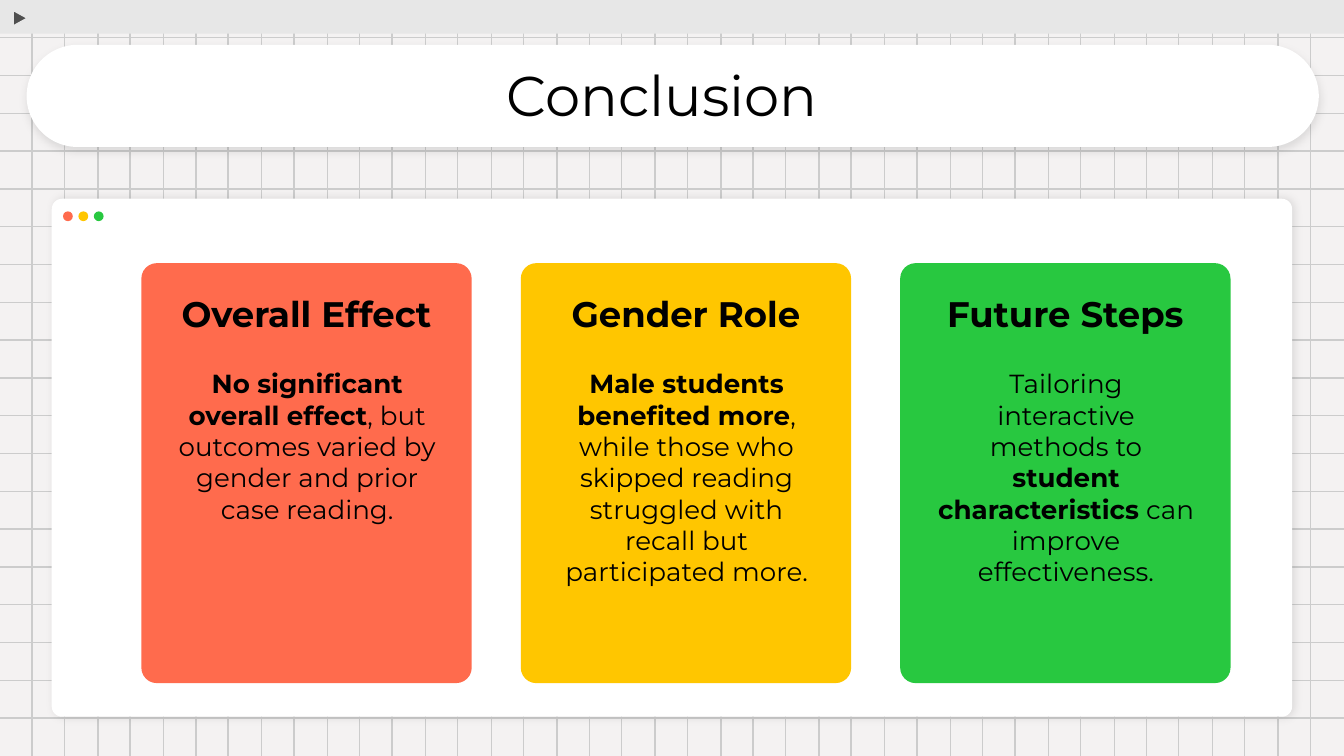
from pptx import Presentation, util as u
from pptx.dml.color import RGBColor
from pptx.enum import shapes, text
from pptx.oxml import parse_xml
from pptx.oxml.ns import nsdecls, qn

PX = 9525  # EMU in one px; the slide is 960 px wide
KIND = shapes.MSO_SHAPE


class Theme:
    font = "Montserrat"
    back, grid, bar, mark = "F4F2F2", "CCCCCC", "E7E7E7", "4F4F4F"
    white, ink = "FFFFFF", "000000"
    red, gold, green = "FF6B4D", "FFC600", "28C840"
    title, head, body = 30, 19, 14


def rgb(tone):
    return RGBColor.from_string(tone)


def draw(kind, area, tone, round_=None, shade=None):
    """Add a plain shape; shade is (opacity %, angle in degrees)."""
    form = slide.shapes.add_shape(kind, *[v * PX for v in area])
    form.fill.solid()
    form.fill.fore_color.rgb = rgb(tone)
    form.line.fill.background()
    form.shadow.inherit = False
    if round_ is not None:
        form.adjustments[0] = round_
    if shade:
        form._element.spPr.find(qn("a:effectLst")).append(parse_xml(
            f'<a:outerShdw {nsdecls("a")} blurRad="57150" dist="19050" '
            f'dir="{shade[1] * 60000}" algn="bl" rotWithShape="0">'
            f'<a:srgbClr val="{Theme.ink}"><a:alpha val="{shade[0] * 1000}"/>'
            '</a:srgbClr></a:outerShdw>'))
    return form


def write(frame, runs, size, bold=None):
    """Fill a text frame with one centred paragraph of (words, bold) runs."""
    frame.word_wrap = True
    frame.margin_left = frame.margin_right = u.Inches(0.1)
    frame.margin_top = frame.margin_bottom = u.Inches(0.1)
    para = frame.paragraphs[0]
    para.alignment = text.PP_ALIGN.CENTER
    para.font.name, para.font.size = Theme.font, u.Pt(size)
    para.font.color.rgb = rgb(Theme.ink)
    para.font.bold = bold
    for words, strong in runs:
        run = para.add_run()
        run.text = words
        if strong:
            run.font.bold = True
    return para


deck = Presentation()
deck.slide_width, deck.slide_height = 960 * PX, 540 * PX
slide = deck.slides.add_slide(deck.slide_layouts[5])
slide.background.fill.solid()
slide.background.fill.fore_color.rgb = rgb(Theme.back)

# Grid paper: 19 rows, 40 columns
rows = [(0, 27 * i, 960, 27 * i) for i in range(1, 20)]
cols = [(960 * i // 41, 0, 960 * i // 41, 540) for i in range(1, 41)]
for ends in rows + cols:
    rule = slide.shapes.add_connector(
        shapes.MSO_CONNECTOR.STRAIGHT, *[v * PX for v in ends])
    rule.line.color.rgb = rgb(Theme.grid)
    rule.line.width = u.Pt(0.75)
    rule._element.spPr.append(parse_xml(f'<a:effectLst {nsdecls("a")}/>'))

# Top bar with play mark
draw(KIND.RECTANGLE, (0, 0, 960, 24), Theme.bar)
play = draw(KIND.ISOSCELES_TRIANGLE, (9, 8, 11, 10), Theme.mark)
play.rotation = 90
play.line.color.rgb = rgb(Theme.bar)
play.line.width = u.Pt(0.75)

# Window with its three dots
draw(KIND.ROUNDED_RECTANGLE, (37, 142, 886, 370), Theme.white, 0.02, (11, 0))
for i, tone in enumerate((Theme.red, Theme.gold, Theme.green)):
    draw(KIND.OVAL, (45 + 11 * i, 151, 7, 7), tone)

# Cards: colour, heading, body runs
cards = [
    (Theme.red, "Overall Effect", [
        ("No significant overall effect", True),
        (", but outcomes varied by gender and prior case reading.", False)]),
    (Theme.gold, "Gender Role", [
        ("Male students benefited more", True),
        (", while those who skipped reading struggled with recall "
         "but participated more.", False)]),
    (Theme.green, "Future Steps", [
        ("Tailoring interactive methods to ", False),
        ("student characteristics", True),
        (" can improve effectiveness.", False)]),
]
for i, (tone, head, body) in enumerate(cards):
    left = 101 + 271 * i
    draw(KIND.ROUNDED_RECTANGLE, (left, 188, 236, 300), tone, 0.047)
    parts = [((left, 199, 236, 50), [(head, False)], Theme.head, True),
             ((left + 17, 253, 203, 178), body, Theme.body, None)]
    for area, runs, size, bold in parts:
        box = slide.shapes.add_textbox(*[v * PX for v in area])
        write(box.text_frame, runs, size, bold)

# Title pill, with the title brought to the front
draw(KIND.ROUNDED_RECTANGLE, (19, 32, 923, 73), Theme.white, 0.5, (10, 90))
title = slide.shapes.title
title.left, title.top, title.width, title.height = [
    v * PX for v in (57, 39, 832, 63)]
title.text_frame.vertical_anchor = text.MSO_ANCHOR.MIDDLE
title.text_frame.auto_size = text.MSO_AUTO_SIZE.NONE
write(title.text_frame, [("Conclusion", False)], Theme.title).line_spacing = 0.9
slide.shapes._spTree.append(title._element)

deck.save("out.pptx")
